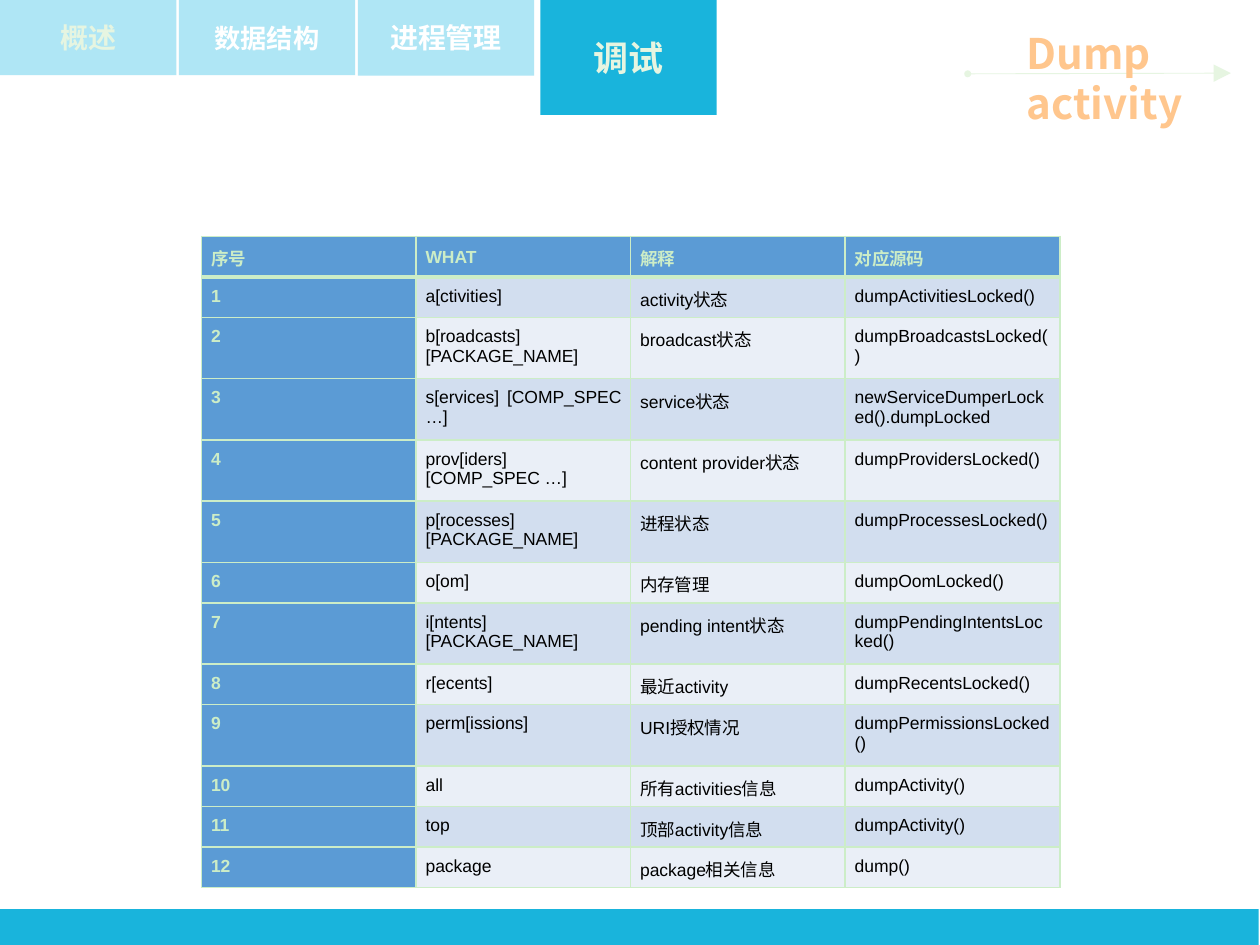
"""Build the slide listing the dump activity commands."""
import pptx
import pptx.dml.color
import pptx.enum.shapes
import pptx.enum.text
import pptx.oxml
import pptx.oxml.ns
import pptx.util

Pt = pptx.util.Pt
RGB = pptx.dml.color.RGBColor
ALIGN = pptx.enum.text.PP_ALIGN
ANCHOR = pptx.enum.text.MSO_ANCHOR
SHAPE = pptx.enum.shapes.MSO_SHAPE
LINK = pptx.enum.shapes.MSO_CONNECTOR
qn = pptx.oxml.ns.qn

TEAL = RGB(0x19, 0xB4, 0xDC)
PALE = RGB(0xAF, 0xE6, 0xF5)
MINT = RGB(0xE6, 0xF5, 0xE1)
PEACH = RGB(0xFF, 0xC6, 0x8D)
WHITE = RGB(0xFF, 0xFF, 0xFF)
BLACK = RGB(0, 0, 0)
GREEN = RGB(0xCC, 0xED, 0xC7)
BLUE = RGB(0x5B, 0x9B, 0xD5)
BANDS = (RGB(0xD2, 0xDE, 0xEF), RGB(0xEA, 0xEF, 0xF7))
SANS = "Noto Sans CJK SC"

TABS = [
    ("概述", 0, 43, PALE, 16, MINT),
    ("数据结构", 102.2, 43, PALE, 15, WHITE),
    ("进程管理", 204.5, 43.2, PALE, 16, WHITE),
    ("调试", 308.8, 65.7, TEAL, 20, MINT),
]
HEAD = ("序号", "WHAT", "解释", "对应源码")
ROWS = [
    ("a[ctivities]", "activity状态", "dumpActivitiesLocked()"),
    ("b[roadcasts] [PACKAGE_NAME]", "broadcast状态", "dumpBroadcastsLocked()"),
    ("s[ervices] [COMP_SPEC …]", "service状态", "newServiceDumperLocked().dumpLocked"),
    ("prov[iders] [COMP_SPEC …]", "content provider状态", "dumpProvidersLocked()"),
    ("p[rocesses] [PACKAGE_NAME]", "进程状态", "dumpProcessesLocked()"),
    ("o[om]", "内存管理", "dumpOomLocked()"),
    ("i[ntents] [PACKAGE_NAME]", "pending intent状态", "dumpPendingIntentsLocked()"),
    ("r[ecents]", "最近activity", "dumpRecentsLocked()"),
    ("perm[issions]", "URI授权情况", "dumpPermissionsLocked()"),
    ("all", "所有activities信息", "dumpActivity()"),
    ("top", "顶部activity信息", "dumpActivity()"),
    ("package", "package相关信息", "dump()"),
]
TALL = (2, 3, 4, 5, 7, 9)
LOW, HIGH, WIDE = 23.2, 35, 122.6
SIDES = ("margin_left", "margin_top", "margin_right", "margin_bottom")


def apply(item, form):
    for key, value in form.items():
        setattr(item, key, value)


def node(tag, **attrs):
    part = pptx.oxml.parse_xml(f"<{tag} {pptx.oxml.ns.nsdecls('a')}/>")
    for key, value in attrs.items():
        part.set(key, str(value))
    return part


def write(frame, text, size, color, bold=True, font=SANS, **form):
    para = frame.paragraphs[0]
    apply(para, form)
    run = para.add_run()
    run.text = text
    apply(run.font, {"name": font, "size": Pt(size), "bold": bold})
    run.font.color.rgb = color
    run.font._element.append(node("a:ea", typeface=SANS))


def block(slide, left, top, width, height, color):
    shape = slide.shapes.add_shape(
        SHAPE.RECTANGLE, Pt(left), Pt(top), Pt(width), Pt(height))
    shape.shadow.inherit = False
    shape.fill.solid()
    shape.fill.fore_color.rgb = color
    shape.line.fill.background()
    return shape


def arrow(slide):
    link = slide.shapes.add_connector(
        LINK.STRAIGHT, Pt(703.4), Pt(41.8), Pt(553), Pt(42.2))
    link.line.width = Pt(0.5)
    link.line.color.rgb = MINT
    line = link.line._get_or_add_ln()
    line.append(node("a:headEnd", type="triangle", w="lg", len="lg"))
    line.append(node("a:tailEnd", type="oval", w="sm", len="sm"))
    link._element.spPr.append(node("a:effectLst"))


def title(slide):
    box = slide.shapes.add_textbox(Pt(579.6), Pt(9.4), Pt(114.5), Pt(65.5))
    apply(box.text_frame, {"word_wrap": True, "margin_top": Pt(6.7), "margin_bottom": 0})
    write(box.text_frame, "Dump activity", 24, PEACH, line_spacing=Pt(28.6))


def edge(cell, row):
    props = cell._tc.get_or_add_tcPr()
    thick = {"B": 3} if row == 0 else {"T": 3} if row == 1 else {}
    for spot, side in enumerate("LRTB"):
        line = node(f"a:ln{side}", w=Pt(thick.get(side, 1)))
        fill = node("a:solidFill")
        fill.append(node("a:srgbClr", val=GREEN))
        line.append(fill)
        props.insert(spot, line)


def table(slide):
    data = [HEAD] + [(str(num), *row) for num, row in enumerate(ROWS, 1)]
    tall = [HIGH if num in TALL else LOW for num in range(len(data))]
    grid = slide.shapes.add_table(
        len(data), len(HEAD), Pt(115.2), Pt(135),
        Pt(WIDE * len(HEAD)), Pt(sum(tall))).table
    for col in grid.columns:
        col.width = Pt(WIDE)
    for num, row in enumerate(data):
        grid.rows[num].height = Pt(tall[num])
        for col, text in enumerate(row):
            cell = grid.cell(num, col)
            key = num == 0 or col == 0
            apply(cell, dict.fromkeys(SIDES, Pt(5.4)))
            cell.vertical_anchor = ANCHOR.TOP if num else ANCHOR.BOTTOM
            cell.fill.solid()
            cell.fill.fore_color.rgb = BLUE if key else BANDS[(num - 1) % 2]
            write(cell.text_frame, text, 10, GREEN if key else BLACK, key, "Arial",
                  alignment=ALIGN.JUSTIFY, space_after=Pt(15))
            edge(cell, num)


def main():
    deck = pptx.Presentation()
    apply(deck, {"slide_width": Pt(720), "slide_height": Pt(540)})
    slide = deck.slides.add_slide(deck.slide_layouts[6])
    block(slide, 0, 519.6, 719.3, 20.4, TEAL)
    arrow(slide)
    title(slide)
    for text, left, height, color, size, ink in TABS:
        tab = block(slide, left, 0, 100.8, height, color)
        tab.text_frame.vertical_anchor = ANCHOR.MIDDLE
        write(tab.text_frame, text, size, ink, alignment=ALIGN.CENTER)
    table(slide)
    deck.save("out.pptx")


if __name__ == "__main__":
    main()
